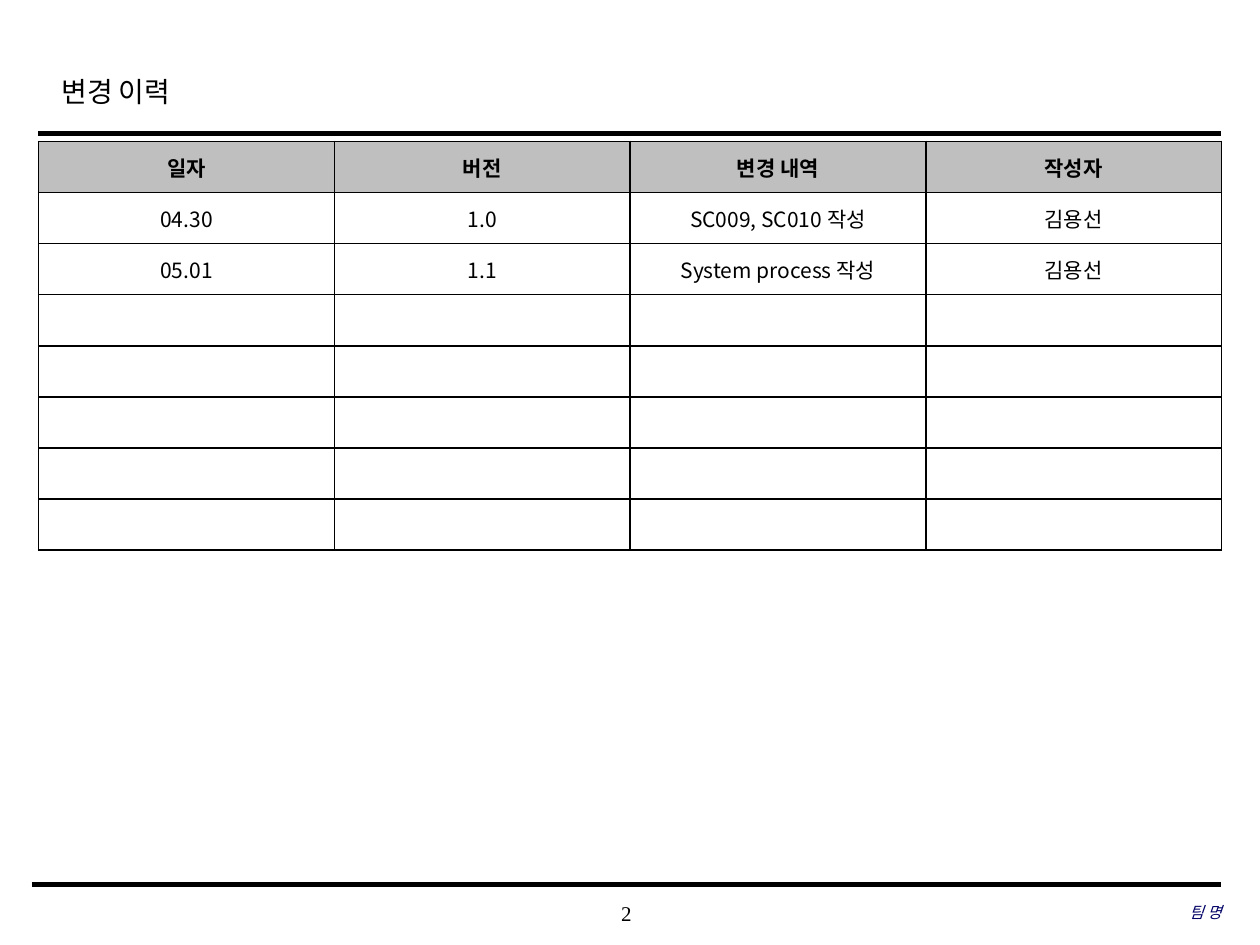
import pptx
import pptx.util
import pptx.dml.color
import pptx.enum.shapes
import pptx.enum.text
import pptx.oxml
import pptx.oxml.ns
import lxml.etree

Pt = pptx.util.Pt
ALIGN = pptx.enum.text.PP_ALIGN
ANCHOR = pptx.enum.text.MSO_ANCHOR
KOREAN, SERIF = "Noto Sans CJK KR", "Times New Roman"

TITLE = "변경 이력"
PAGE_NUMBER = "2"
TEAM = "팀 명"
HEADER = ["일자", "버전", "변경 내역", "작성자"]
CHANGES = [
    ["04.30", "1.0", "SC009, SC010 작성", "김용선"],
    ["05.01", "1.1", "System process 작성", "김용선"],
]
EMPTY_ROWS = 5
TABLE_LEFT, TABLE_TOP, COL_W, ROW_H = 22.1, 80.8, 169, 29.2
RULES = [(22, 698, 76.3, 2.5), (18, 698, 505.4, 3)]  # left, right, y, width


def rgb(color):
    return pptx.dml.color.RGBColor.from_string(color)


def write(tf, text, size=12, font=SERIF, color="000000", bold=False,
          italic=False, align=ALIGN.LEFT, spacing=None):
    p = tf.paragraphs[0]
    p.alignment = align
    if spacing:
        p.line_spacing = spacing
    r = p.add_run()
    r.text = text
    r.font.size, r.font.name = Pt(size), font
    r.font.bold, r.font.italic = bold, italic
    r.font.color.rgb = rgb(color)
    ea = lxml.etree.SubElement(r.font._element, pptx.oxml.ns.qn("a:ea"))
    ea.set("typeface", KOREAN)


def add_text(slide, text, x, y, w, h, anchor=ANCHOR.MIDDLE, inset=True, **fmt):
    tf = slide.shapes.add_textbox(Pt(x), Pt(y), Pt(w), Pt(h)).text_frame
    tf.word_wrap = True
    tf.vertical_anchor = anchor
    if not inset:
        tf.margin_left = tf.margin_top = tf.margin_right = tf.margin_bottom = 0
    write(tf, text, **fmt)


def add_rule(slide, left, right, y, width):
    line = slide.shapes.add_connector(
        pptx.enum.shapes.MSO_CONNECTOR.STRAIGHT, Pt(left), Pt(y), Pt(right), Pt(y))
    line.line.color.rgb = rgb("000000")
    line.line.width = Pt(width)
    lxml.etree.SubElement(line._element.spPr, pptx.oxml.ns.qn("a:effectLst"))


def set_borders(cell, color="000000", width=1):
    tcPr = cell._tc.get_or_add_tcPr()
    for i, side in enumerate(("lnL", "lnR", "lnT", "lnB")):
        tcPr.insert(i, pptx.oxml.parse_xml(
            f'<a:{side} {pptx.oxml.ns.nsdecls("a")} w="{Pt(width)}"><a:solidFill>'
            f'<a:srgbClr val="{color}"/></a:solidFill></a:{side}>'))


def add_history(slide):
    rows = [HEADER] + CHANGES + [[""] * len(HEADER)] * EMPTY_ROWS
    n_rows, n_cols = len(rows), len(HEADER)
    table = slide.shapes.add_table(
        n_rows, n_cols, Pt(TABLE_LEFT), Pt(TABLE_TOP),
        Pt(COL_W * n_cols), Pt(ROW_H * n_rows)).table
    for column in table.columns:
        column.width = Pt(COL_W)
    for i, values in enumerate(rows):
        table.rows[i].height = Pt(ROW_H)
        for j, text in enumerate(values):
            cell = table.cell(i, j)
            cell.vertical_anchor = ANCHOR.MIDDLE
            cell.fill.solid()
            cell.fill.fore_color.rgb = rgb("FFFFFF" if i else "BFBFBF")
            set_borders(cell)
            if text:
                write(cell.text_frame, text, font=KOREAN, bold=i == 0,
                      align=ALIGN.CENTER)
            else:
                cell.text_frame.paragraphs[0].font.size = Pt(12)


def main():
    prs = pptx.Presentation()
    prs.slide_width, prs.slide_height = Pt(720), Pt(540)
    slide = prs.slides.add_slide(prs.slide_layouts[6])
    add_text(slide, PAGE_NUMBER, 283, 510, 150, 24, inset=False, align=ALIGN.CENTER)
    for rule in RULES:
        add_rule(slide, *rule)
    add_text(slide, TITLE, 28, 35.3, 543.6, 36, anchor=ANCHOR.TOP, size=16,
             spacing=1.2)
    add_history(slide)
    add_text(slide, TEAM, 477.4, 509, 220.6, 24, inset=False, size=9,
             color="000066", italic=True, align=ALIGN.RIGHT)
    prs.save("out.pptx")


if __name__ == "__main__":
    main()
